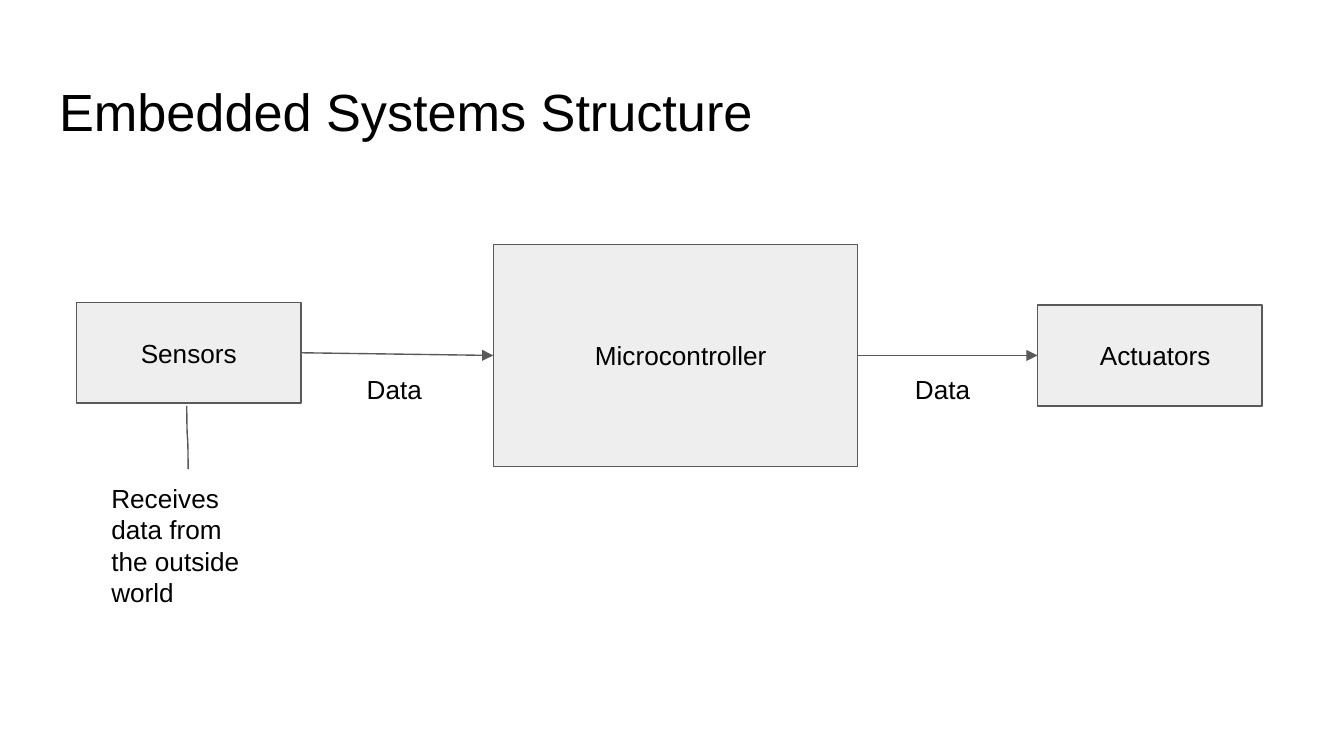
"""Build the Embedded Systems Structure block diagram slide."""
from pptx import Presentation
from pptx.dml.color import RGBColor
from pptx.enum.shapes import MSO_CONNECTOR, MSO_SHAPE
from pptx.enum.text import MSO_ANCHOR, MSO_AUTO_SIZE, PP_ALIGN
from pptx.oxml.ns import qn
from pptx.util import Inches, Pt
from lxml.etree import SubElement

BLACK = RGBColor(0x00, 0x00, 0x00)
GREY = RGBColor(0x59, 0x59, 0x59)
LIGHT_GREY = RGBColor(0xEE, 0xEE, 0xEE)


def write_text(shape, text, size, alignment, anchor, left_margin=0.1):
    frame = shape.text_frame
    frame.text = text
    frame.word_wrap = True
    frame.auto_size = MSO_AUTO_SIZE.NONE
    frame.vertical_anchor = anchor
    frame.margin_left = Inches(left_margin)
    frame.margin_top = frame.margin_right = frame.margin_bottom = Inches(0.1)
    paragraph = frame.paragraphs[0]
    paragraph.alignment = alignment
    paragraph.font.name = "Arial"
    paragraph.font.size = Pt(size)
    paragraph.font.color.rgb = BLACK


def add_line(kind, left, top, right, bottom):
    connector = slide.shapes.add_connector(
        kind, Inches(left), Inches(top), Inches(right), Inches(bottom))
    connector.line.color.rgb = GREY
    connector.line.width = Pt(0.75)
    SubElement(connector._element.spPr, qn("a:effectLst"))
    return connector


presentation = Presentation()
presentation.slide_width = Inches(10)
presentation.slide_height = Inches(10 * 9 / 16)
slide = presentation.slides.add_slide(presentation.slide_layouts[5])

title = slide.shapes.title
title.left, title.top = Inches(0.34), Inches(0.49)
title.width, title.height = Inches(9.32), Inches(0.63)
write_text(title, "Embedded Systems Structure", 28, PP_ALIGN.LEFT, MSO_ANCHOR.TOP)

blocks = []
for text, left, top, width, height, left_margin in (
    ("Sensors", 0.57, 2.25, 1.67, 0.75, 0.1),
    ("Microcontroller", 3.67, 1.82, 2.71, 1.65, 0.18),
    ("Actuators", 7.72, 2.27, 1.67, 0.75, 0.18),
):
    block = slide.shapes.add_shape(
        MSO_SHAPE.RECTANGLE, Inches(left), Inches(top), Inches(width), Inches(height))
    block.shadow.inherit = False
    block.fill.solid()
    block.fill.fore_color.rgb = LIGHT_GREY
    block.line.color.rgb = GREY
    block.line.width = Pt(0.75)
    write_text(block, text, 14, PP_ALIGN.CENTER, MSO_ANCHOR.MIDDLE, left_margin)
    blocks.append(block)

for source, target in zip(blocks, blocks[1:]):
    arrow = add_line(MSO_CONNECTOR.STRAIGHT, 0, 0, 1, 1)
    arrow.begin_connect(source, 3)
    arrow.end_connect(target, 1)
    SubElement(arrow.line._get_or_add_ln(), qn("a:tailEnd"), type="triangle")

note_line = add_line(MSO_CONNECTOR.CURVE, 1.63, 3.25, 1.16, 3.26)
note_line._element.spPr.find(qn("a:xfrm")).set("rot", "5400000")

for text, left, top, width, height in (
    ("Receives data from the outside world", 0.73, 3.49, 1.34, 0.8),
    ("Data", 2.63, 2.68, 0.67, 0.47),
    ("Data", 6.71, 2.68, 0.67, 0.47),
):
    label = slide.shapes.add_textbox(
        Inches(left), Inches(top), Inches(width), Inches(height))
    write_text(label, text, 14, PP_ALIGN.LEFT, MSO_ANCHOR.TOP)

presentation.save("out.pptx")
